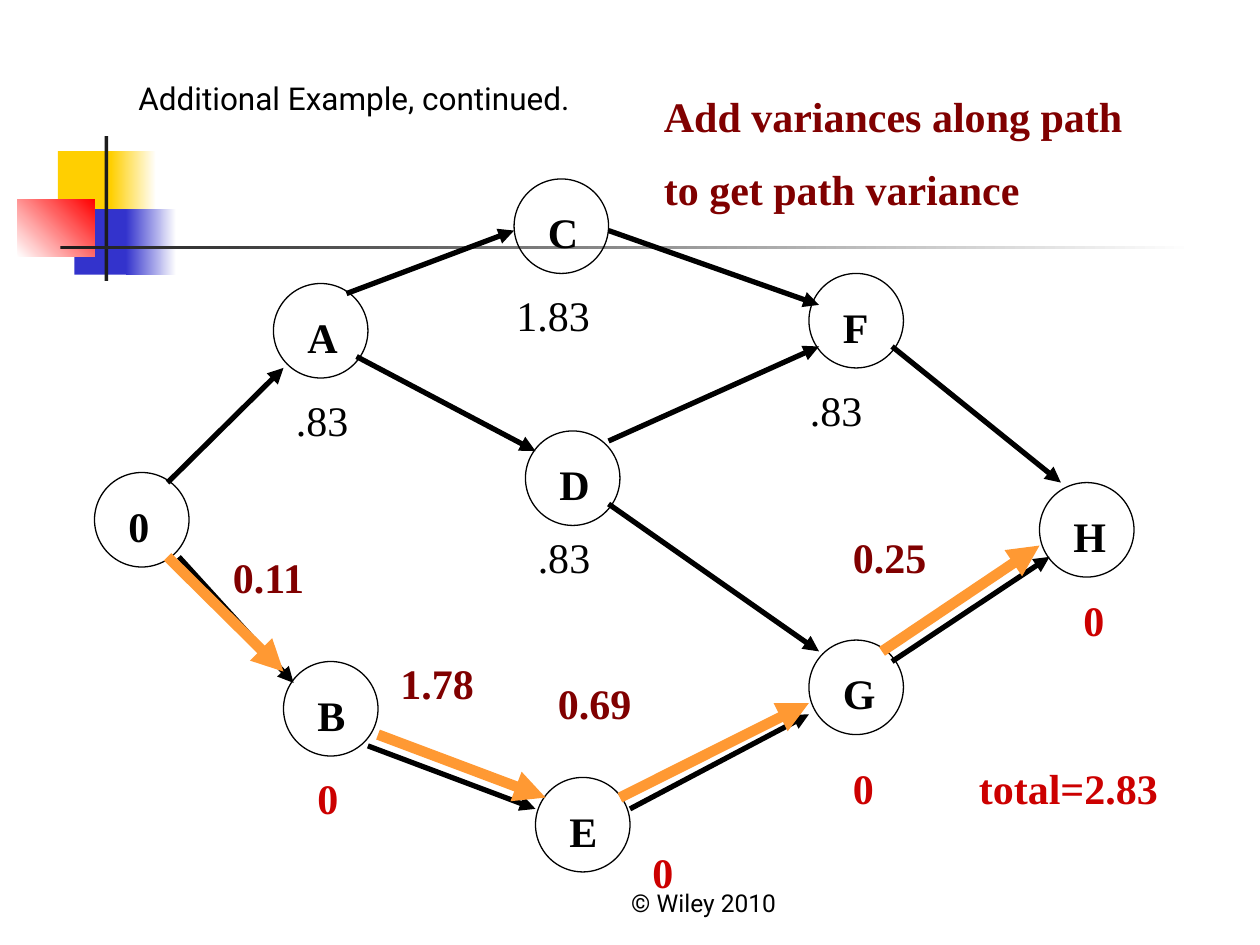
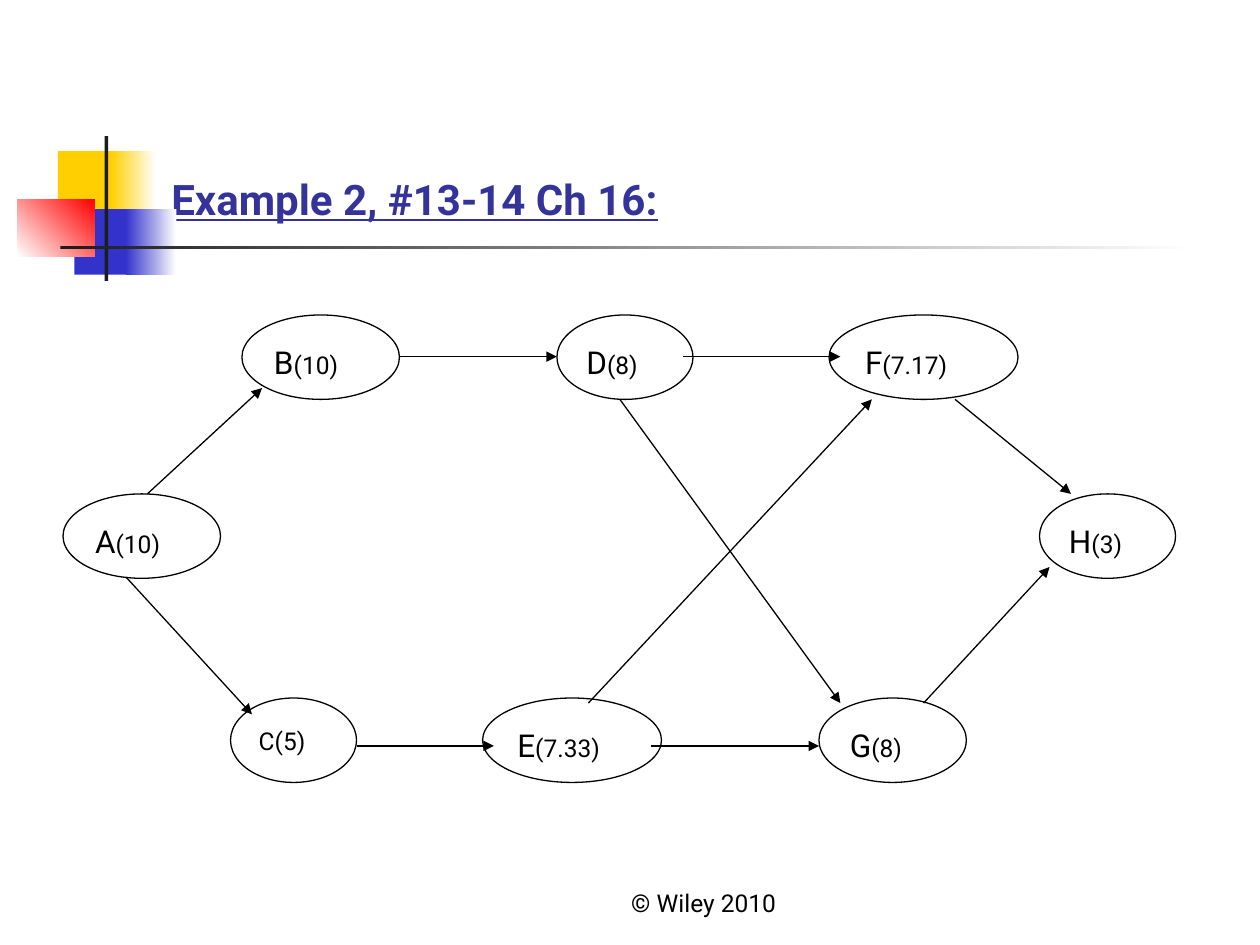
from pptx import Presentation
from pptx.dml.color import RGBColor
from pptx.enum.shapes import MSO_CONNECTOR, MSO_SHAPE
from pptx.enum.text import MSO_ANCHOR, MSO_AUTO_SIZE, PP_ALIGN
from pptx.oxml.ns import qn
from pptx.util import Inches, Pt
from lxml.etree import SubElement

BLACK = RGBColor(0x00, 0x00, 0x00)
WHITE = RGBColor(0xFF, 0xFF, 0xFF)
CHARCOAL = RGBColor(0x1C, 0x1C, 0x1C)
YELLOW = RGBColor(0xFF, 0xCF, 0x01)
BLUE = RGBColor(0x33, 0x33, 0xCC)
BRIGHT_RED = RGBColor(0xFF, 0x00, 0x00)
RED = RGBColor(0xCC, 0x00, 0x00)
MAROON = RGBColor(0x80, 0x00, 0x00)
ORANGE = RGBColor(0xFF, 0x99, 0x33)
TITLE_BLUE = RGBColor(0x33, 0x33, 0x99)

SANS = "Roboto"
SERIF = "Times New Roman"

# Left, top, width, height, start colour, end colour, angle
BAND = [
    (0.46, 1.2, 0.48, 0.52, YELLOW, YELLOW, 0),
    (0.88, 1.2, 0.36, 0.52, YELLOW, WHITE, 0),
    (0.59, 1.66, 0.46, 0.52, BLUE, BLUE, 0),
    (1, 1.66, 0.4, 0.52, BLUE, WHITE, 0),
    (0.14, 1.58, 0.61, 0.46, WHITE, BRIGHT_RED, 45),
    (0.83, 1.08, 0.03, 1.15, CHARCOAL, CHARCOAL, 0),
    (0.48, 1.95, 9, 0.03, CHARCOAL, WHITE, 0),
]

CIRCLE = 0.75
VARIANCE_NODES = [
    ("A", 2.17, 2.25), ("B", 2.25, 5.25), ("0", 0.75, 3.75),
    ("C", 4.08, 1.42), ("D", 4.17, 3.42), ("E", 4.25, 6.17),
    ("F", 6.42, 2.17), ("G", 6.42, 5.08), ("H", 8.25, 3.83),
]
VARIANCE_ARROWS = [
    (1.33, 3.83, 2.25, 2.92), (1.42, 4.42, 2.33, 5.42),
    (2.75, 2.33, 4.08, 1.83), (2.83, 2.83, 4.25, 3.58),
    (2.92, 5.92, 4.25, 6.42), (5, 6.42, 6.42, 5.67),
    (4.83, 4, 6.5, 5.17), (4.83, 3.5, 6.5, 2.75),
    (4.83, 1.83, 6.5, 2.42), (7.08, 2.75, 8.42, 3.83),
    (7.08, 5.25, 8.33, 4.42),
]
CRITICAL_ARROWS = [
    (1.33, 4.42, 2.25, 5.33), (3, 5.83, 4.33, 6.33),
    (4.92, 6.33, 6.42, 5.58), (7, 5.17, 8.25, 4.33),
]
# Colour, bold, then text, left, top, width
VARIANCE_LABELS = [
    (BLACK, False, [
        (".83", 2.25, 3.08, 0.67), ("1.83", 4, 2.25, 1.42),
        (".83", 6.33, 3, 0.67), (".83", 4.17, 4.17, 0.67)]),
    (RED, True, [
        ("0", 2.42, 6.08, 0.42), ("0", 5.08, 6.67, 0.83),
        ("0", 6.67, 6, 1), ("0", 8.5, 4.67, 1.08),
        ("total=2.83", 7.67, 6, 1.75)]),
    (MAROON, True, [
        ("0.11", 1.75, 4.33, 1.17), ("1.78", 3.08, 5.17, 1.17),
        ("0.69", 4.33, 5.33, 1.17), ("0.25", 6.67, 4.17, 1.17)]),
]

OVAL_HEIGHT = 0.67
# Spans of text with sizes, left, top, width
DURATION_NODES = [
    ([("A", 18), ("(10)", 14)], 0.5, 3.92, 1.25),
    ([("B", 18), ("(10)", 14)], 1.92, 2.5, 1.25),
    ([("D", 18), ("(8)", 14)], 4.42, 2.5, 1.08),
    ([("F", 18), ("(7.17)", 14)], 6.58, 2.5, 1.5),
    ([("C(5)", 14)], 1.83, 5.54, 1),
    ([("E", 18), ("(7.33)", 14)], 3.83, 5.54, 1.42),
    ([("G", 18), ("(8)", 14)], 6.5, 5.54, 1.17),
    ([("H", 18), ("(3)", 14)], 8.25, 3.92, 1.08),
]
DURATION_ARROWS = [
    (1.17, 3.92, 2.08, 3.08), (1, 4.58, 2, 5.67),
    (3.17, 2.83, 4.42, 2.83), (2.83, 5.92, 3.92, 5.92),
    (5.42, 2.83, 6.67, 2.83), (5.17, 5.92, 6.5, 5.92),
    (7.58, 3.17, 8.5, 3.92), (7.33, 5.58, 8.33, 4.5),
    (4.92, 3.17, 6.67, 5.58), (4.67, 5.58, 6.92, 3.17),
]


def inches(*lengths):
    return [Inches(length) for length in lengths]


def add_span(para, text, size, font=SANS, color=BLACK, bold=False):
    span = para.add_run()
    span.text = text
    span.font.name = font
    span.font.size = Pt(size)
    span.font.bold = bold
    span.font.color.rgb = color
    return span


def add_text(shapes, place, lines, font=SANS, color=BLACK, bold=False):
    """Add a text box; each line is a list of (text, size) spans."""
    box = shapes.add_textbox(*inches(*place))
    frame = box.text_frame
    frame.word_wrap = True
    frame.auto_size = MSO_AUTO_SIZE.SHAPE_TO_FIT_TEXT
    for index, line in enumerate(lines):
        para = frame.add_paragraph() if index else frame.paragraphs[0]
        if index:
            para.space_before = Pt(13)
        for text, size in line:
            add_span(para, text, size, font, color, bold)
    return box


def add_band(page):
    for *place, start, end, angle in BAND:
        block = page.shapes.add_shape(MSO_SHAPE.RECTANGLE, *inches(*place))
        block.shadow.inherit = False
        block.line.fill.background()
        if start == end:
            block.fill.solid()
            block.fill.fore_color.rgb = start
            continue
        block.fill.gradient()
        block.fill.gradient_angle = angle
        for stop, color, position in zip(block.fill.gradient_stops, (start, end), (0, 1)):
            stop.color.rgb = color
            stop.position = position


def add_footer(page):
    box = add_text(page.shapes, (4, 6.83, 3.17, 0.5), [[("© Wiley 2010", 14)]])
    frame = box.text_frame
    frame.auto_size = MSO_AUTO_SIZE.NONE
    frame.vertical_anchor = MSO_ANCHOR.BOTTOM
    frame.paragraphs[0].alignment = PP_ALIGN.CENTER


def add_page(deck, layout):
    page = deck.slides.add_slide(deck.slide_layouts.get_by_name(layout))
    add_band(page)
    add_footer(page)
    return page


def set_title(page, text):
    title = page.shapes.title
    title.left, title.top, title.width, title.height = inches(1.26, 0.23, 8.52, 1.6)
    title.text_frame.vertical_anchor = MSO_ANCHOR.BOTTOM
    para = title.text_frame.paragraphs[0]
    para.alignment = PP_ALIGN.LEFT
    add_span(para, text, 24, color=TITLE_BLUE, bold=True).font.underline = True


def add_node(page, oval_place, label_place, spans, **style):
    """Group an outlined ellipse with its label."""
    node = page.shapes.add_group_shape()
    oval = node.shapes.add_shape(MSO_SHAPE.OVAL, *inches(*oval_place))
    oval.shadow.inherit = False
    oval.fill.background()
    oval.line.color.rgb = BLACK
    oval.line.width = Pt(0.75)
    add_text(node.shapes, label_place, [spans], **style)


def add_arrows(page, arrows, color, width):
    for ends in arrows:
        arrow = page.shapes.add_connector(MSO_CONNECTOR.STRAIGHT, *inches(*ends))
        arrow.line.color.rgb = color
        arrow.line.width = Pt(width)
        SubElement(arrow.line._get_or_add_ln(), qn("a:tailEnd"), type="triangle")
        SubElement(arrow._element.spPr, qn("a:effectLst"))


def build_variance_page(deck):
    page = add_page(deck, "Blank")
    for name, left, top in VARIANCE_NODES:
        add_node(page, (left, top, CIRCLE, CIRCLE), (left + 0.17, top + 0.17, 0.42, 0.5),
                 [(name, 24)], font=SERIF, bold=True)
    add_arrows(page, VARIANCE_ARROWS, BLACK, 3)
    add_arrows(page, CRITICAL_ARROWS, ORANGE, 6)
    for color, bold, labels in VARIANCE_LABELS:
        for text, *place in labels:
            add_text(page.shapes, (*place, 0.5), [[(text, 24)]], SERIF, color, bold)
    add_text(page.shapes, (5.17, 0.67, 4.25, 1.1),
             [[("Add variances along path", 24)], [("to get path variance", 24)]],
             SERIF, MAROON, True)
    add_text(page.shapes, (1, 0.58, 3.75, 0.4), [[("Additional Example, continued.", 18)]])


def build_duration_page(deck):
    page = add_page(deck, "Title Only")
    set_title(page, "Example 2, #13-14 Ch 16:")
    for spans, left, top, width in DURATION_NODES:
        label_height = 0.4 if spans[0][1] == 18 else 0.33
        add_node(page, (left, top, width, OVAL_HEIGHT),
                 (left + width / 8, top + 0.17, width * 5 / 8, label_height), spans)
    add_arrows(page, DURATION_ARROWS, BLACK, 0.75)


def main():
    deck = Presentation()
    deck.slide_width, deck.slide_height = inches(10, 7.5)
    build_variance_page(deck)
    build_duration_page(deck)
    deck.save("out.pptx")


if __name__ == "__main__":
    main()
